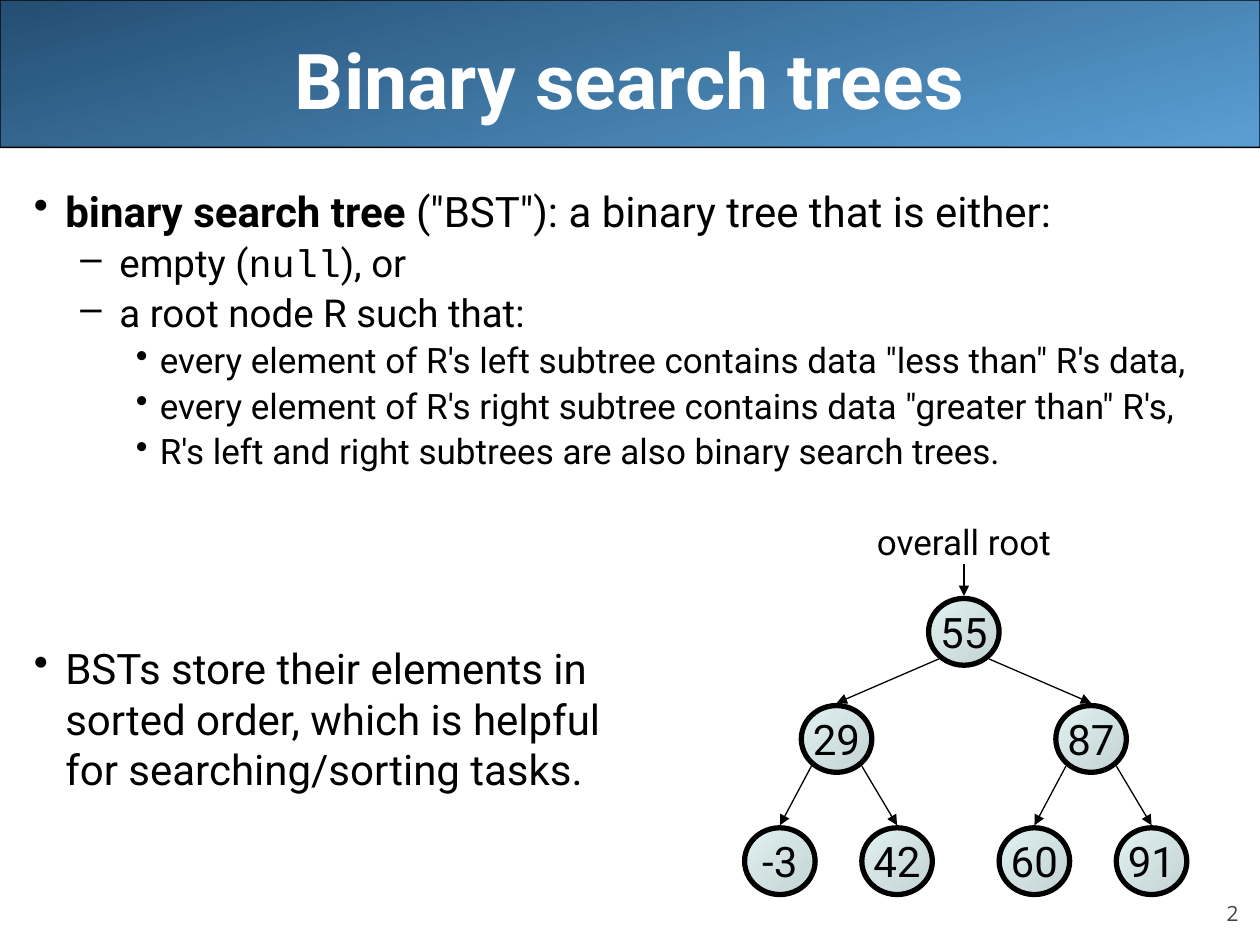
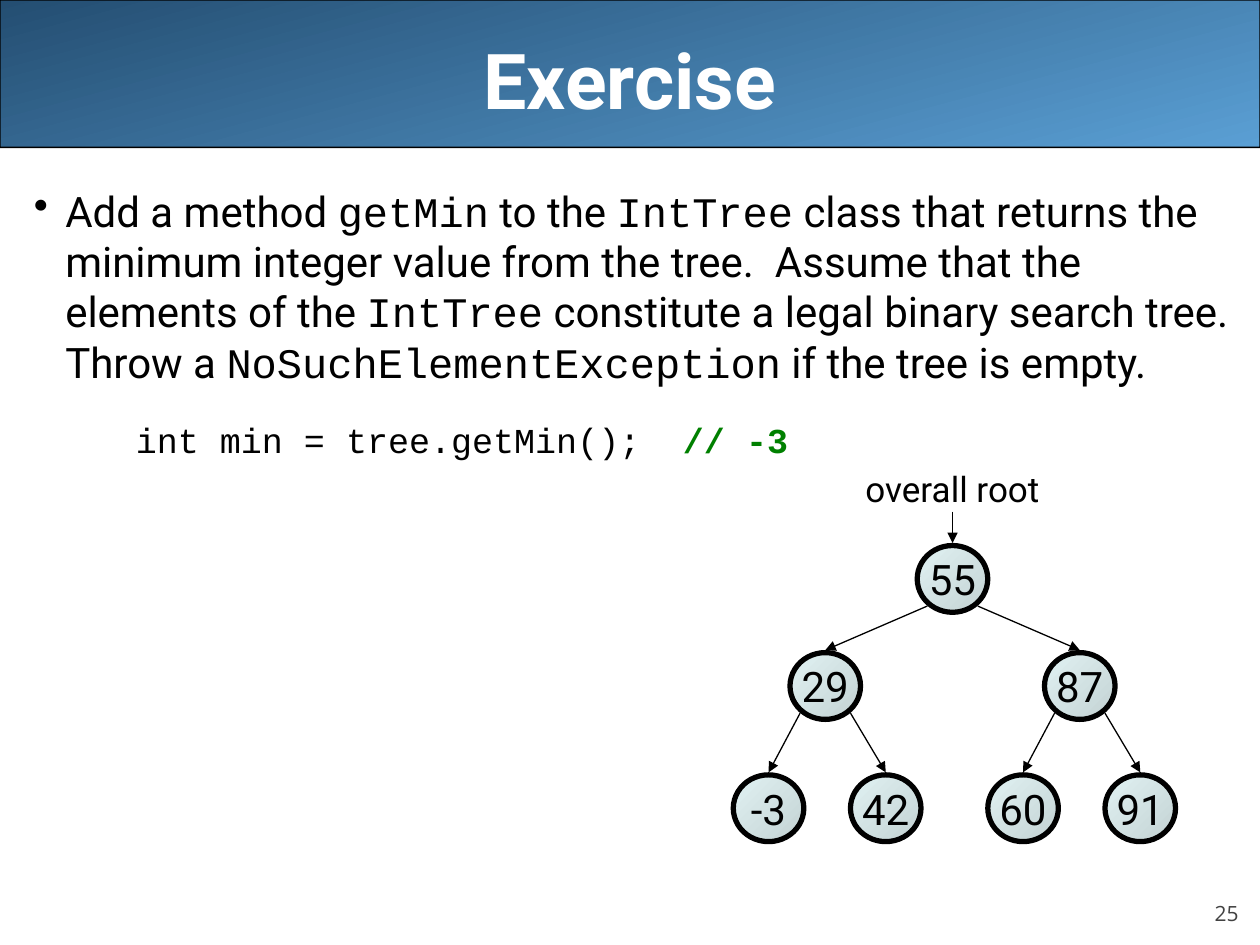
from dataclasses import dataclass

from lxml import etree
from pptx import Presentation
from pptx.dml.color import RGBColor
from pptx.enum import shapes, text
from pptx.oxml import ns
from pptx.util import Inches, Pt


@dataclass(frozen=True)
class Theme:
    """Colours, fonts and type sizes shared by the slides."""
    black: str = "000000"
    title: str = "FFFFFF"
    number: str = "424242"
    comment: str = "008000"
    band: tuple = ("244E72", "5A9FD4")
    node: tuple = ("E1F2F3", "C3D2D3")
    sans: str = "Roboto"
    code: str = "Courier New"
    number_font: str = "Open Sans"
    title_size: int = 44
    body_sizes: tuple = (24, 22, 20)
    node_size: int = 24
    label_size: int = 20
    number_size: int = 12


THEME = Theme()

# Left margin, first-line indent, bullet and line spacing of each body level
LEVELS = (
    (0.25, -0.25, "\u2022", 1.0),
    (0.68, -0.31, "\u2013", 0.9),
    (1.0, -0.19, "\u2022", 0.9),
)
SPACE_BEFORE = 0.22  # share of the type size

# A node is (value, left child, right child)
SEARCH_TREE = (
    "55",
    ("29", ("-3", None, None), ("42", None, None)),
    ("87", ("60", None, None), ("91", None, None)),
)
NODE_WIDTH, NODE_HEIGHT = 0.56, 0.53
ROOT_X = 1.73
ROW_TOPS = (0.67, 1.52, 2.49)
CHILD_OFFSETS = ((-1.01, 1.01), (-0.45, 0.48))


def rgb(value):
    """Turn a hex string into a colour."""
    return RGBColor.from_string(value)


def add_run(paragraph, words, size, font=THEME.sans, color=THEME.black, bold=False):
    """Append one formatted run."""
    run = paragraph.add_run()
    run.text = words
    run.font.size = Pt(size)
    run.font.name = font
    run.font.bold = bold
    run.font.color.rgb = rgb(color)


def style_shape(shape, colors, angle, line_width):
    """Give a shape a two-colour gradient (clockwise angle) and a black line."""
    shape.shadow.inherit = False
    shape.fill.gradient()
    shape.fill.gradient_angle = 360 - angle
    for stop, color in zip(shape.fill.gradient_stops, colors):
        stop.color.rgb = rgb(color)
    shape.line.color.rgb = rgb(THEME.black)
    shape.line.width = Pt(line_width)


def add_text_box(parent, left, top, width, height, anchor=text.MSO_ANCHOR.TOP, wrap=True):
    """Add an empty text box and return its text frame."""
    frame = parent.add_textbox(
        Inches(left), Inches(top), Inches(width), Inches(height)).text_frame
    frame.word_wrap = wrap
    frame.vertical_anchor = anchor
    return frame


def add_band(slide, left, top, width, height, title):
    """Draw the header band with its centred title."""
    band = slide.shapes.add_shape(
        shapes.MSO_SHAPE.ROUNDED_RECTANGLE,
        Inches(left), Inches(top), Inches(width), Inches(height))
    band.adjustments[0] = 0.001
    style_shape(band, THEME.band, 75, 0.74)
    frame = add_text_box(slide.shapes, left + 0.5, top, width - 1, height + 0.08,
                         text.MSO_ANCHOR.MIDDLE)
    heading = frame.paragraphs[0]
    heading.alignment = text.PP_ALIGN.CENTER
    add_run(heading, title, THEME.title_size, color=THEME.title, bold=True)


def add_number(slide, left, top, width, height, number):
    """Place the slide number at the bottom right."""
    frame = add_text_box(slide.shapes, left, top, width, height, text.MSO_ANCHOR.BOTTOM)
    frame.margin_left = frame.margin_right = frame.margin_top = frame.margin_bottom = 0
    footer = frame.paragraphs[0]
    footer.alignment = text.PP_ALIGN.RIGHT
    add_run(footer, str(number), THEME.number_size, THEME.number_font, THEME.number)


def add_body(slide, left, top, width, height, items):
    """Write outline items: (level, runs, options); a run is (words, format)."""
    frame = add_text_box(slide.shapes, left, top, width, height)
    for index, (level, runs, options) in enumerate(items):
        item = frame.paragraphs[0] if index == 0 else frame.add_paragraph()
        margin, indent, bullet, spacing = LEVELS[level]
        size = THEME.body_sizes[level]
        item.level = level
        item.line_spacing = options.get("spacing", spacing)
        item.space_before = Pt(options.get("before", SPACE_BEFORE * size))
        properties = item._p.get_or_add_pPr()
        properties.set("marL", str(Inches(margin)))
        properties.set("indent", str(Inches(indent)))
        if options.get("bullet", True):
            etree.SubElement(properties, ns.qn("a:buChar")).set("char", bullet)
        for words, look in runs:
            for line_index, line in enumerate(words.split("\n")):
                if line_index:
                    item.add_line_break()
                add_run(item, line, size, **look)


def add_arrow(group, start, end):
    """Draw a thin arrow between two points."""
    arrow = group.shapes.add_connector(
        shapes.MSO_CONNECTOR.STRAIGHT, *(Inches(value) for value in (*start, *end)))
    arrow.line.color.rgb = rgb(THEME.black)
    arrow.line.width = Pt(0.75)
    head = etree.SubElement(arrow.line._get_or_add_ln(), ns.qn("a:tailEnd"))
    head.set("type", "triangle")
    etree.SubElement(arrow._element.spPr, ns.qn("a:effectLst"))


def add_node(group, left, top, node, center_x, depth=0):
    """Draw a node, then its arrows and subtrees."""
    value, *children = node
    node_top = top + ROW_TOPS[depth]
    circle = group.shapes.add_shape(
        shapes.MSO_SHAPE.OVAL, Inches(left + center_x - NODE_WIDTH / 2),
        Inches(node_top), Inches(NODE_WIDTH), Inches(NODE_HEIGHT))
    style_shape(circle, THEME.node, 45, 3)
    frame = circle.text_frame
    frame.word_wrap = False
    frame.vertical_anchor = text.MSO_ANCHOR.MIDDLE
    frame.paragraphs[0].alignment = text.PP_ALIGN.CENTER
    add_run(frame.paragraphs[0], value, THEME.node_size)
    for side, child in zip((0, 1), children):
        if child is None:
            continue
        child_x = center_x + CHILD_OFFSETS[depth][side]
        exit_x = center_x + (-0.2, 0.2)[side]
        add_arrow(group, (left + exit_x, node_top + 0.48),
                  (left + child_x, top + ROW_TOPS[depth + 1] - 0.02))
        add_node(group, left, top, child, child_x, depth + 1)


def add_tree(slide, left, top):
    """Draw the labelled search tree from its top left corner."""
    group = slide.shapes.add_group_shape()
    add_node(group, left, top, SEARCH_TREE, ROOT_X)
    frame = add_text_box(group.shapes, left + ROOT_X - 0.8, top, 1.6, 0.43, wrap=False)
    frame.paragraphs[0].alignment = text.PP_ALIGN.CENTER
    add_run(frame.paragraphs[0], "overall root", THEME.label_size)
    add_arrow(group, (left + ROOT_X, top + 0.4), (left + ROOT_X, top + 0.65))


def add_tree_slide(deck, title, number, items, tree_corner):
    """Build a slide with band, outline, tree and number."""
    slide = deck.slides.add_slide(deck.slide_layouts[6])
    add_band(slide, 0, 0, 10, 1.17, title)
    add_number(slide, 9, 6.95, 0.83, 0.4, number)
    add_body(slide, 0.17, 1.42, 9.83, 5.67, items)
    add_tree(slide, *tree_corner)


PLAIN, BOLD, CODE = {}, {"bold": True}, {"font": THEME.code}
COMMENT = {"font": THEME.code, "color": THEME.comment, "bold": True}

DEFINITION = [
    (0, [("binary search tree", BOLD),
         (" (\"BST\"): a binary tree that is either:", PLAIN)], {}),
    (1, [("empty (", PLAIN), ("null", CODE), ("), or", PLAIN)], {}),
    (1, [("a root node R such that:", PLAIN)], {}),
    (2, [("every element of R's left subtree contains data \"less than\" R's data,",
          PLAIN)], {}),
    (2, [("every element of R's right subtree contains data \"greater than\" R's,",
          PLAIN)], {}),
    (2, [("R's left and right subtrees are also binary search trees.", PLAIN)], {}),
    (0, [("BSTs store their elements in\nsorted order, which is helpful\n"
          "for searching/sorting tasks.", PLAIN)], {"before": 97.5}),
]

EXERCISE = [
    (0, [("Add a method ", PLAIN), ("getMin", CODE), (" to the ", PLAIN),
         ("IntTree", CODE),
         (" class that returns the minimum integer value from the tree.  "
          "Assume that the elements of the ", PLAIN),
         ("IntTree", CODE),
         (" constitute a legal binary search tree.  Throw a ", PLAIN),
         ("NoSuchElementException", CODE), (" if the tree is empty.", PLAIN)], {}),
    (2, [("int min = tree.getMin();  ", CODE), ("// -3", COMMENT)],
     {"before": 18, "bullet": False, "spacing": 1.0}),
]


def main():
    """Build and save the deck."""
    deck = Presentation()
    deck.slide_width, deck.slide_height = Inches(10), Inches(7.5)
    add_tree_slide(deck, "Binary search trees", 2, DEFINITION, (5.92, 4.08))
    add_tree_slide(deck, "Exercise", 25, EXERCISE, (5.83, 3.66))
    deck.save("out.pptx")


main()
